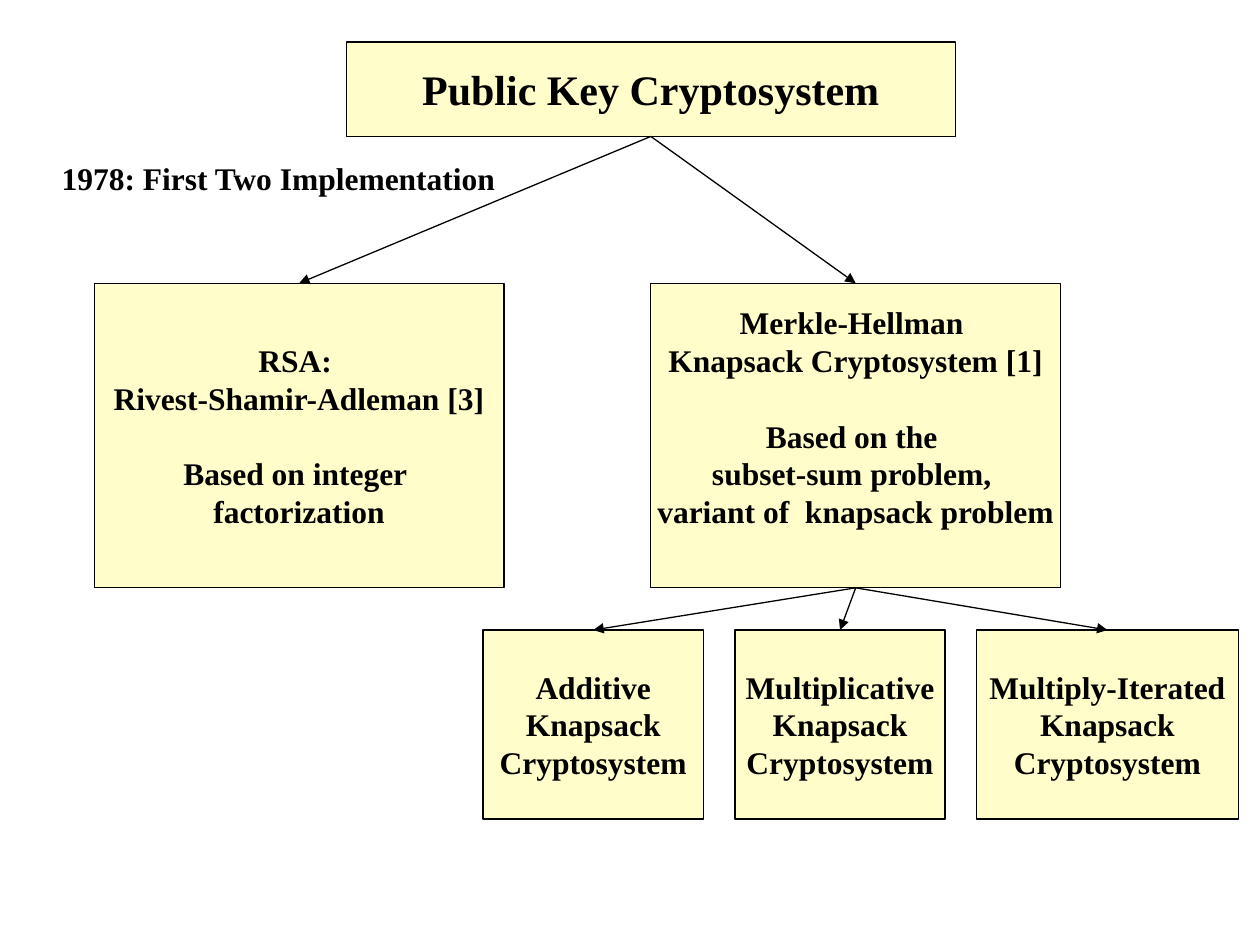
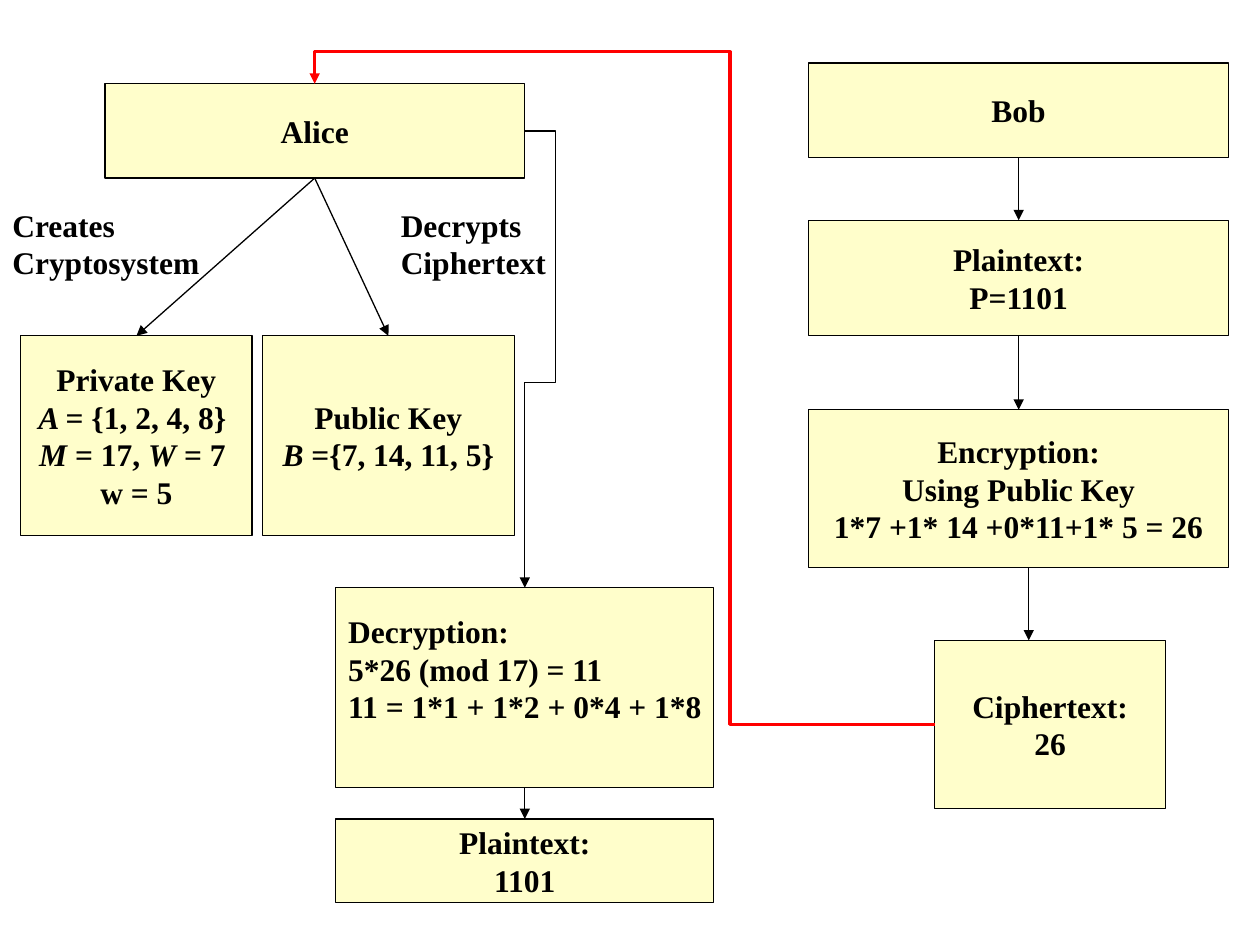
from pptx import Presentation
from pptx.dml.color import RGBColor
from pptx.enum.shapes import MSO_CONNECTOR, MSO_SHAPE
from pptx.enum.text import MSO_ANCHOR, PP_ALIGN
from pptx.oxml.ns import qn
from pptx.util import Cm, Pt
from lxml import etree

RECT, OVAL = MSO_SHAPE.RECTANGLE, MSO_SHAPE.OVAL
LINE, BENT = MSO_CONNECTOR.STRAIGHT, MSO_CONNECTOR.ELBOW
LEFT, MID = PP_ALIGN.LEFT, PP_ALIGN.CENTER
CREAM = RGBColor(0xFF, 0xFE, 0xCB)
WHITE = RGBColor(0xFF, 0xFF, 0xFF)
BLACK = RGBColor(0, 0, 0)
RED = RGBColor(0xFF, 0, 0)
FONT = "Times New Roman"
TOP, SIDE, BASE = 0, 1, 2
RIGHT = 3


def put(text, *area, kind=RECT, fill=CREAM, edge=BLACK, size=18, align=MID,
        gap=None, lift=0):
    area = [Cm(n) for n in area]
    if kind is None:
        box = page.shapes.add_textbox(*area)
    else:
        box = page.shapes.add_shape(kind, *area)
        box.shadow.inherit = False
        box.fill.solid()
        box.fill.fore_color.rgb = fill
        box.line.color.rgb = edge
        box.line.width = Pt(0.75)
    frame = box.text_frame
    frame.word_wrap = False
    frame.vertical_anchor = MSO_ANCHOR.TOP if kind is None else MSO_ANCHOR.MIDDLE
    frame.margin_bottom = Cm(0.13 + lift)
    for i, row in enumerate(text.split("\n")):
        para = frame.paragraphs[0] if i == 0 else frame.add_paragraph()
        para.alignment = align
        if i == gap:
            para.space_before = Pt(21.6)
        for j, part in enumerate(row.split("_")):
            if part:
                run = para.add_run()
                run.text = part
                font = run.font
                font.name, font.size, font.bold = FONT, Pt(size), True
                font.color.rgb = BLACK
                if j % 2:
                    font.italic = True
    return box


def link(start, end, out=BASE, x=None, color=BLACK, width=0.75, bends=()):
    if x:
        wire = page.shapes.add_connector(
            LINE, Cm(x), start.top + start.height, Cm(x), end.top)
    else:
        wire = page.shapes.add_connector(BENT if bends else LINE, 0, 0, 0, 0)
        wire.begin_connect(start, out)
        wire.end_connect(end, TOP)
    wire.line.color.rgb = color
    wire.line.width = Pt(width)
    props = wire._element.spPr
    etree.SubElement(props.find(qn("a:ln")), qn("a:tailEnd"), type="triangle")
    etree.SubElement(props, qn("a:effectLst"))
    if bends:
        geom = props.find(qn("a:prstGeom"))
        geom.set("prst", "bentConnector4")
        for i, bend in enumerate(bends, 1):
            etree.SubElement(geom.find(qn("a:avLst")), qn("a:gd"),
                             name=f"adj{i}", fmla=f"val {round(bend * 100000)}")


deck = Presentation()
deck.slide_width, deck.slide_height = Cm(25.4), Cm(19.05)
blank = deck.slide_layouts[6]

page = deck.slides.add_slide(blank)
root = put("Public Key Cryptosystem", 6.98, 0.85, 12.28, 1.9, size=24)
put("1978: First Two Implementation", 0.43, 2.75, 10.37, 1.69,
    kind=OVAL, fill=WHITE, edge=WHITE)
rsa = put("RSA: \nRivest-Shamir-Adleman [3]\nBased on integer \nfactorization",
          1.9, 5.71, 8.26, 6.14, gap=2)
sack = put("Merkle-Hellman \nKnapsack Cryptosystem [1]\nBased on the \n"
           "subset-sum problem, \nvariant of  knapsack problem",
           13.12, 5.71, 8.26, 6.14, gap=2, lift=0.76)
link(root, rsa)
link(root, sack)
for name, x, wide in (("Additive", 9.74, 4.44), ("Multiplicative", 14.82, 4.23),
                      ("Multiply-Iterated", 19.68, 5.29)):
    link(sack, put(f"{name}\nKnapsack\nCryptosystem", x, 12.7, wide, 3.81))

page = deck.slides.add_slide(blank)
alice = put("Alice", 2.12, 1.69, 8.45, 1.9)
secret = put("Private Key\n_A _= {1, 2, 4, 8} \n_M_ = 17, _W_ = 7 \nw = 5",
             0.42, 6.77, 4.66, 4.02)
public = put("Public Key\n_B_ ={7, 14, 11, 5}", 5.29, 6.77, 5.08, 4.02)
put("Creates\nCryptosystem", 0, 4.02, 4.29, 1.78, kind=None, align=LEFT)
put("Decrypts\nCiphertext", 7.83, 4.02, 3.6, 1.78, kind=None, align=LEFT)
bob = put("Bob", 16.3, 1.27, 8.47, 1.9)
plain = put("Plaintext:\nP=1101", 16.3, 4.44, 8.47, 2.33)
lock = put("Encryption:\nUsing Public Key\n1*7 +1* 14 +0*11+1* 5 = 26",
           16.3, 8.26, 8.47, 3.18)
cipher = put("Ciphertext:\n26", 18.84, 12.91, 4.66, 3.39)
solve = put("Decryption:\n5*26 (mod 17) = 11\n11 = 1*1 + 1*2 + 0*4 + 1*8",
            6.77, 11.85, 7.62, 4.02, align=LEFT, lift=0.76)
clear = put("Plaintext:\n1101", 6.77, 16.51, 7.62, 1.69)
for start, end in ((alice, secret), (alice, public), (bob, plain),
                   (plain, lock), (solve, clear)):
    link(start, end)
link(lock, cipher, x=20.74)
link(cipher, alice, out=SIDE, color=RED, width=1.75, bends=(0.33, 1.05))
link(alice, solve, out=RIGHT, bends=(63.5, 0.55))

deck.save("out.pptx")
